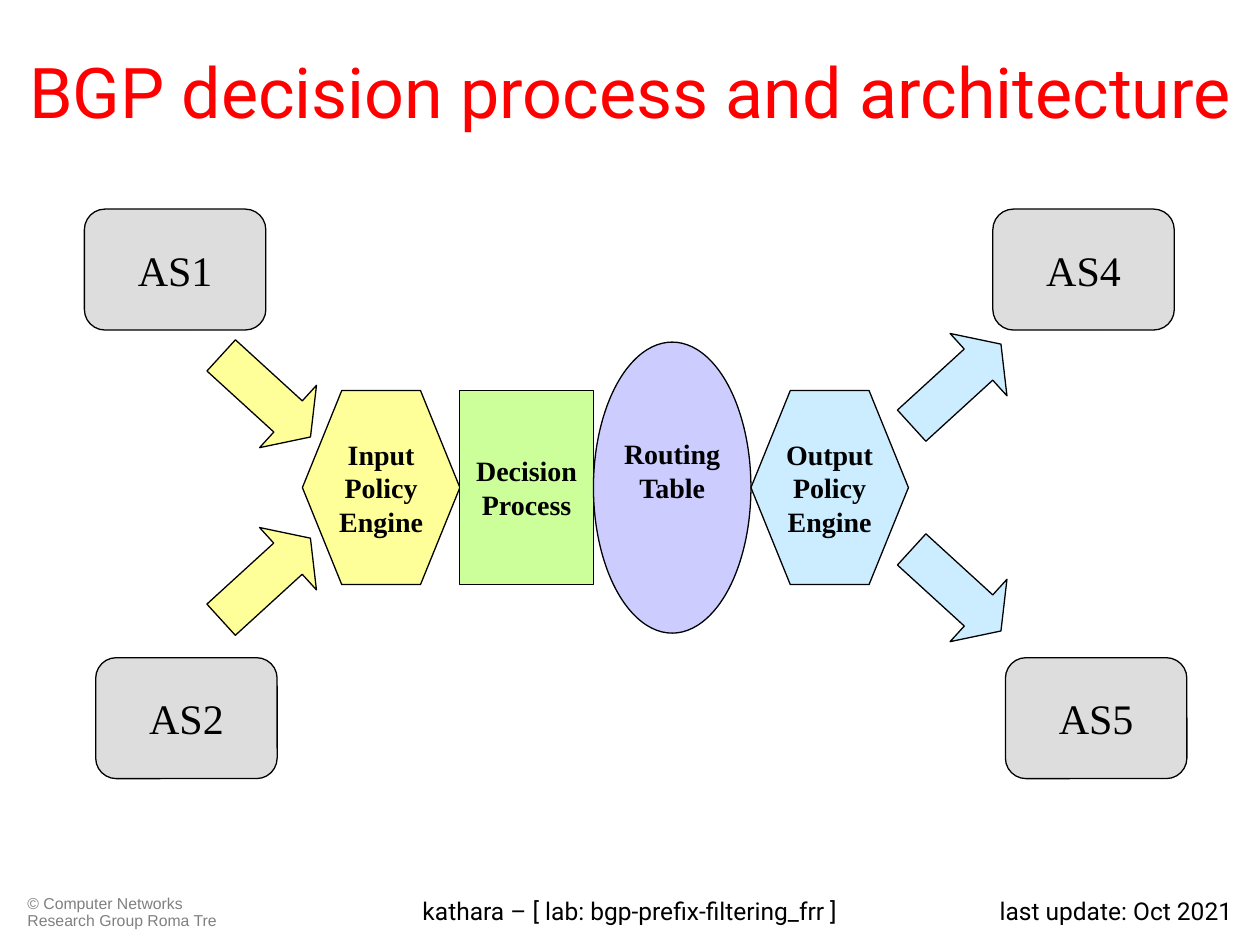
import pptx
import pptx.dml.color
import pptx.enum.shapes
import pptx.enum.text
import pptx.util

Inches = pptx.util.Inches
RGBColor = pptx.dml.color.RGBColor
Shape = pptx.enum.shapes.MSO_SHAPE
Align = pptx.enum.text.PP_ALIGN
Anchor = pptx.enum.text.MSO_ANCHOR

BLACK = RGBColor(0x00, 0x00, 0x00)
RED = RGBColor(0xFF, 0x00, 0x00)
NOTICE_GRAY = RGBColor(0x80, 0x80, 0x80)
AS_GRAY = RGBColor(0xDD, 0xDD, 0xDD)
INPUT_YELLOW = RGBColor(0xFF, 0xFF, 0x99)
DECISION_GREEN = RGBColor(0xCC, 0xFF, 0x99)
TABLE_VIOLET = RGBColor(0xCC, 0xCC, 0xFF)
OUTPUT_BLUE = RGBColor(0xCC, 0xEC, 0xFF)

AS_SIZE = (1.44, 0.96)
ARROW_SIZE = (0.96, 0.67)
ARROW_TILT = 42.4
ENGINE_CENTER = 3.87


class SlideBuilder:
    title_font = "Roboto"
    diagram_font = "Times New Roman"
    line_width = pptx.util.Pt(0.75)

    def __init__(self, slide):
        self.slide = slide

    def add_lines(self, frame, lines, size, font, color=BLACK, bold=False, align=Align.CENTER):
        for index, line in enumerate(lines):
            para = frame.paragraphs[0] if index == 0 else frame.add_paragraph()
            para.alignment = align
            span = para.add_run()
            span.text = line
            span.font.size = pptx.util.Pt(size)
            span.font.name = font
            span.font.bold = bold
            span.font.color.rgb = color

    def text(self, line, left, top, width, height, size, font=title_font,
             color=BLACK, align=Align.CENTER, anchor=Anchor.TOP, margin=0.1):
        box = self.slide.shapes.add_textbox(
            Inches(left), Inches(top), Inches(width), Inches(height))
        frame = box.text_frame
        frame.word_wrap = True
        frame.vertical_anchor = anchor
        frame.margin_left = frame.margin_right = Inches(margin)
        self.add_lines(frame, [line], size, font, color, align=align)
        return box

    def shape(self, kind, left, top, width, height, fill, adjustments=()):
        shape = self.slide.shapes.add_shape(
            kind, Inches(left), Inches(top), Inches(width), Inches(height))
        shape.shadow.inherit = False
        shape.fill.solid()
        shape.fill.fore_color.rgb = fill
        shape.line.color.rgb = BLACK
        shape.line.width = self.line_width
        for index, value in enumerate(adjustments):
            shape.adjustments[index] = value
        return shape

    def label(self, shape, lines, size, bold=False):
        frame = shape.text_frame
        frame.word_wrap = False
        frame.vertical_anchor = Anchor.MIDDLE
        self.add_lines(frame, lines, size, self.diagram_font, bold=bold)

    def autonomous_system(self, name, left, top):
        shape = self.shape(Shape.ROUNDED_RECTANGLE, left, top, *AS_SIZE, AS_GRAY, [0.17])
        self.label(shape, [name], 24)

    def stage(self, kind, left, width, height, fill, lines, adjustments=()):
        """Add a processing stage centred on the common axis."""
        top = ENGINE_CENTER - height / 2
        shape = self.shape(kind, left, top, width, height, fill, adjustments)
        self.label(shape, lines, 16, bold=True)
        return shape

    def arrow(self, left, top, fill, tilt):
        shape = self.shape(Shape.RIGHT_ARROW, left, top, *ARROW_SIZE, fill, [0.5, 0.36])
        shape.rotation = tilt % 360


def main():
    deck = pptx.Presentation()
    deck.slide_width, deck.slide_height = Inches(10), Inches(7.5)
    page = SlideBuilder(deck.slides.add_slide(deck.slide_layouts[6]))

    notice = page.text("© Computer Networks Research Group Roma Tre", 0.12, 7.06, 1.73, 0.36,
                       9, "Arial", NOTICE_GRAY, Align.LEFT)
    notice.text_frame.paragraphs[0].line_spacing = 0.9
    page.text("last update: Oct 2021", 7.6, 7.06, 2.28, 0.36, 14, align=Align.RIGHT)
    page.text("kathara – [ lab: bgp-prefix-filtering_frr ]", 2.56, 7.06, 4.88, 0.36, 14)
    page.text("BGP decision process and architecture", 0, 0.3, 10, 0.83, 40,
              color=RED, anchor=Anchor.MIDDLE, margin=0)

    for name, left, top in (("AS1", 0.67, 1.66), ("AS2", 0.76, 5.22),
                            ("AS4", 7.88, 1.66), ("AS5", 7.98, 5.22)):
        page.autonomous_system(name, left, top)

    page.stage(Shape.HEXAGON, 2.4, 1.25, 1.54, INPUT_YELLOW,
               ["Input", "Policy", "Engine"], [0.25])
    page.stage(Shape.RECTANGLE, 3.65, 1.06, 1.54, DECISION_GREEN, ["Decision", "Process"])
    table = page.stage(Shape.OVAL, 4.71, 1.25, 2.31, TABLE_VIOLET, ["Routing", "Table"])
    table.text_frame.margin_bottom = Inches(0.32)

    for left, top, fill, tilt in ((1.63, 2.81, INPUT_YELLOW, ARROW_TILT),
                                  (1.63, 4.26, INPUT_YELLOW, -ARROW_TILT),
                                  (7.11, 4.35, OUTPUT_BLUE, ARROW_TILT),
                                  (7.11, 2.72, OUTPUT_BLUE, -ARROW_TILT)):
        page.arrow(left, top, fill, tilt)

    page.stage(Shape.HEXAGON, 5.96, 1.25, 1.54, OUTPUT_BLUE,
               ["Output", "Policy", "Engine"], [0.25])

    deck.save("out.pptx")


if __name__ == "__main__":
    main()
